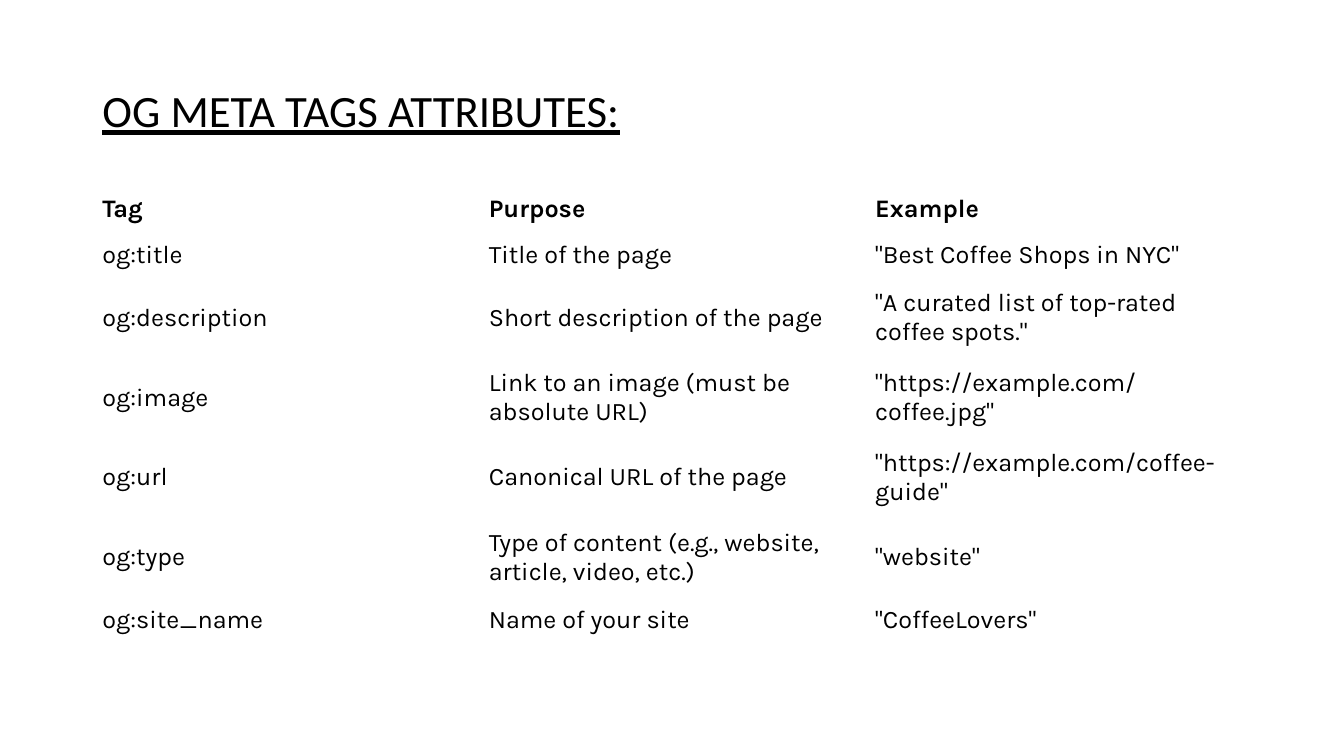
"""Build a slide that lists the Open Graph meta tags in a table."""
import pptx
import pptx.dml.color
import pptx.enum.text
import pptx.util

Pt = pptx.util.Pt
RGB = pptx.dml.color.RGBColor
ANCHOR = pptx.enum.text.MSO_ANCHOR
ALIGN = pptx.enum.text.PP_ALIGN

TITLE = "OG META TAGS ATTRIBUTES:"
ROWS = [
    ("Tag", "Purpose", "Example"),
    ("og:title", "Title of the page", '"Best Coffee Shops in NYC"'),
    ("og:description", "Short description of the page",
     '"A curated list of top-rated coffee spots."'),
    ("og:image", "Link to an image (must be absolute URL)",
     '"https://example.com/coffee.jpg"'),
    ("og:url", "Canonical URL of the page",
     '"https://example.com/coffee-guide"'),
    ("og:type", "Type of content (e.g., website, article, video, etc.)",
     '"website"'),
    ("og:site_name", "Name of your site", '"CoffeeLovers"'),
]
LOW, HIGH = 32.6, 57.1
TALLS = [LOW, LOW, HIGH, HIGH, HIGH, HIGH, LOW]
LEFT, WIDE = 66, 828
HEAD_TOP, HEAD_TALL = 28.8, 104.4
GRID_TOP = HEAD_TOP + HEAD_TALL

THEME = {
    "ink": RGB(0, 0, 0),
    "paper": RGB(255, 255, 255),
    "title": {"name": "Calibri", "size": Pt(32), "bold": False,
              "underline": True},
    "head": {"name": "Karla", "size": Pt(18), "bold": True},
    "body": {"name": "Karla", "size": Pt(18), "bold": False},
}


def put(thing, vals):
    """Set every attribute in vals on thing."""
    for key, val in vals.items():
        setattr(thing, key, val)


def write(frame, text, style):
    """Write text in one paragraph with a theme style."""
    frame.text = text
    para = frame.paragraphs[0]
    para.alignment = ALIGN.LEFT
    font = para.runs[0].font
    put(font, THEME[style])
    font.color.rgb = THEME["ink"]
    return para


def add_title(slide):
    """Place and fill the title."""
    title = slide.shapes.title
    put(title, {"left": Pt(LEFT), "top": Pt(HEAD_TOP),
                "width": Pt(WIDE), "height": Pt(HEAD_TALL)})
    put(title.text_frame, {"vertical_anchor": ANCHOR.MIDDLE,
                           "word_wrap": True})
    write(title.text_frame, TITLE, "title").line_spacing = 0.9


def add_grid(slide):
    """Add the table of tags."""
    count = len(ROWS[0])
    grid = slide.shapes.add_table(
        len(ROWS), count, Pt(LEFT), Pt(GRID_TOP), Pt(WIDE), Pt(sum(TALLS))
    ).table
    put(grid, {"first_row": False, "horz_banding": False})
    for col in grid.columns:
        col.width = Pt(WIDE / count)
    for i, (texts, tall) in enumerate(zip(ROWS, TALLS)):
        grid.rows[i].height = Pt(tall)
        for j, text in enumerate(texts):
            cell = grid.cell(i, j)
            cell.fill.background()
            cell.vertical_anchor = ANCHOR.MIDDLE
            write(cell.text_frame, text, "body" if i else "head")


def main():
    """Make the deck and save it."""
    deck = pptx.Presentation()
    put(deck, {"slide_width": Pt(960), "slide_height": Pt(540)})
    slide = deck.slides.add_slide(deck.slide_layouts[5])
    fill = slide.background.fill
    fill.solid()
    fill.fore_color.rgb = THEME["paper"]
    add_title(slide)
    add_grid(slide)
    deck.save("out.pptx")


if __name__ == "__main__":
    main()
